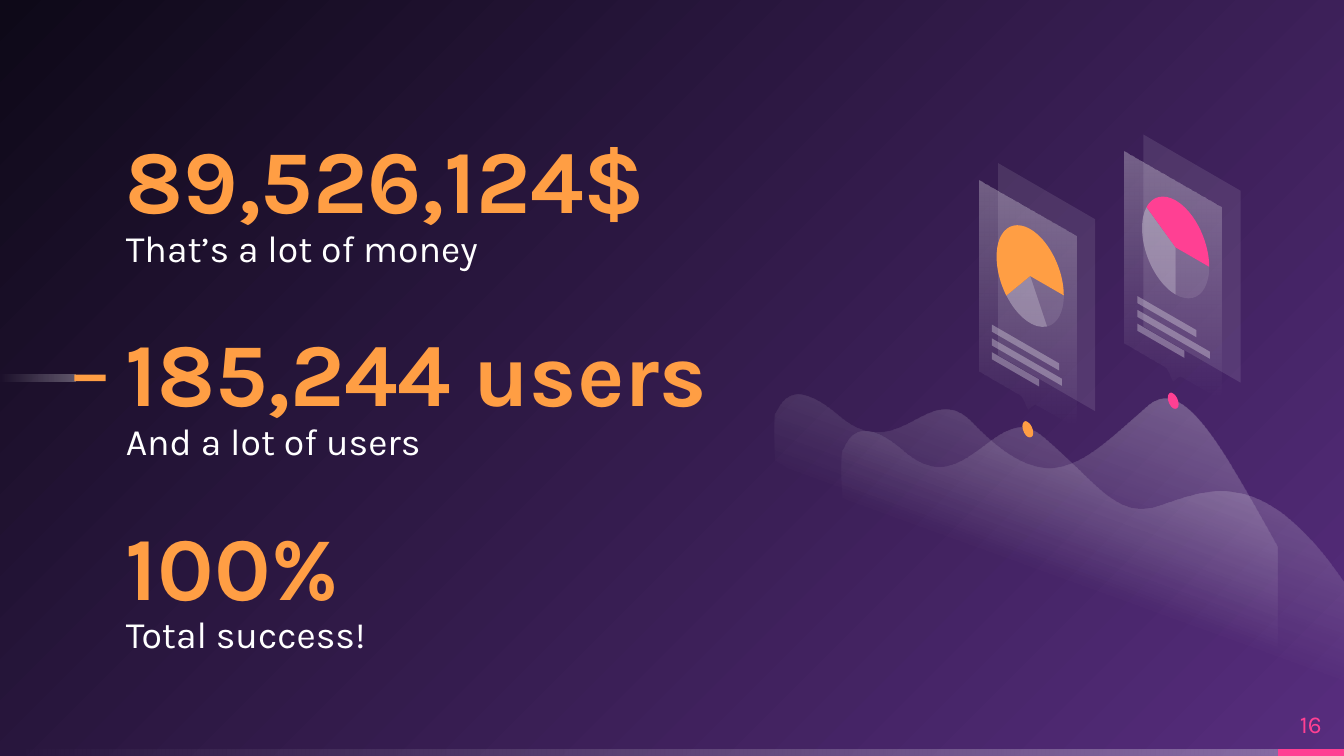
from math import cos, radians, sin, tan

from pptx import Presentation
from pptx.dml.color import RGBColor
from pptx.enum.shapes import MSO_SHAPE as Preset
from pptx.enum.text import MSO_ANCHOR as Anchor, PP_ALIGN as Align
from pptx.oxml.ns import qn
from pptx.oxml.xmlchemy import OxmlElement
from pptx.util import Pt

COLORS = {
    "white": "FFFFFF",
    "orange": "FF9E44",
    "pink": "FF4093",
    "purple": "572D7E",
    "night": "0E0918",
}
FONT = "Karla"
SLOPE = 0.577  # fall of every slanted edge on the cards
FADE = [(0, "white", 30), (100, "white", 0)]
WAVE_FADE = [(0, "white", 30), (47, "white", 0), (100, "white", 0)]

FIGURES = [
    ("89,526,124$", "That’s a lot of money"),
    ("185,244 users", "And a lot of users"),
    ("100%", "Total success!"),
]

# Two numbers are a corner, six are a Bézier curve.
BACK_WAVE = [
    (449.3, 222.5),
    (421.2, 198.7, 417.6, 221, 415.4, 221.8),
    (415.4, 221.8, 414.7, 227.5, 415.4, 247),
    (684.5, 402.5), (684.5, 293),
    (653.8, 238.3, 633.6, 200.2, 614.2, 218.2),
    (579.6, 248.4, 562.3, 269.3, 521.3, 226.8),
    (497.5, 201.6, 482.4, 251.3, 449.3, 222.5),
]
FRONT_WAVE = [
    (484.6, 241.9),
    (456.5, 217.4, 452.9, 240.5, 451.1, 241.2),
    (451.1, 241.2, 450, 246.2, 451.1, 266.4),
    (720, 421.9), (720, 312.5),
    (676.8, 249.1, 648, 261.4, 622.8, 270),
    (598.3, 279.4, 589.7, 260.6, 558.7, 234),
    (533.5, 211.7, 517.7, 270.7, 484.6, 241.9),
]
# Card parts are measured from the top left corner of the front panel.
BACK_PANEL = [(10, -9.2), (62, 20.9), (62, 123.7), (10, 93.7)]
FRONT_PANEL = [(52, 30), (0, 0), (0, 102.2), (22.5, 115.2),
               (26, 122.5), (29.6, 119.6), (52, 132.5)]
DOT = [
    (28.8, 135.4),
    (28.8, 133.2, 27.4, 130.3, 25.9, 129.6),
    (24.5, 128.2, 23, 129.6, 23, 131.8),
    (23, 133.9, 24.5, 136.8, 25.9, 137.5),
    (27.4, 138.2, 28.8, 137.5, 28.8, 135.4),
]


def bounds(path):
    """Left, top, right and bottom of the drawn outline, curves included."""
    points = [path[0]]
    for part in path[1:]:
        if len(part) == 6:
            x0, y0 = points[-1]
            x1, y1, x2, y2, x3, y3 = part
            for step in range(1, 40):
                t = step / 40
                a, b, c, d = (1 - t) ** 3, 3 * t * (1 - t) ** 2, 3 * t * t * (1 - t), t ** 3
                points.append((a * x0 + b * x1 + c * x2 + d * x3,
                               a * y0 + b * y1 + c * y2 + d * y3))
        points.append(part[-2:])
    xs, ys = zip(*points)
    return min(xs), min(ys), max(xs), max(ys)


def pie_slice(start, end):
    """Outline of a slice, in degrees clockwise, slanted like its card."""
    def slant(x, y):
        return 27.2 + 18 * x, 51.3 + 25.2 * y + SLOPE * 18 * x

    count = round((end - start) / 30)
    step = radians(end - start) / count
    reach = 4 / 3 * tan(step / 4)
    angle = radians(start)
    path = [slant(0, 0), slant(cos(angle), sin(angle))]
    for _ in range(count):
        after = angle + step
        path.append(slant(cos(angle) - reach * sin(angle), sin(angle) + reach * cos(angle))
                    + slant(cos(after) + reach * sin(after), sin(after) - reach * cos(after))
                    + slant(cos(after), sin(after)))
        angle = after
    return path


def add_child(parent, tag, **attributes):
    child = OxmlElement(tag)
    for name, value in attributes.items():
        child.set(name, str(value))
    parent.append(child)
    return child


def write_stops(gradient, stops):
    """Empty a gradFill element and give it (position, color, opacity) stops."""
    gradient.clear()
    stop_list = add_child(gradient, "a:gsLst")
    for position, color, opacity in stops:
        stop = add_child(stop_list, "a:gs", pos=position * 1000)
        tint = add_child(stop, "a:srgbClr", val=COLORS[color])
        if opacity < 100:
            add_child(tint, "a:alpha", val=opacity * 1000)


class SlideMaker:
    def __init__(self, slide):
        self.slide = slide
        self.shapes = slide.shapes

    def background(self, stops):
        """Circular gradient that starts at the bottom right corner."""
        self.slide.background.fill.gradient()
        gradient = self.slide.element.find(".//" + qn("a:gradFill"))
        write_stops(gradient, stops)
        circle = add_child(gradient, "a:path", path="circle")
        add_child(circle, "a:fillToRect", l=100000, t=100000)

    def finish(self, shape, color, opacity=100):
        shape.shadow.inherit = False
        shape.line.fill.background()
        shape.fill.solid()
        shape.fill.fore_color.rgb = RGBColor.from_string(COLORS[color])
        if opacity < 100:
            tint = shape.element.spPr.find(".//" + qn("a:srgbClr"))
            add_child(tint, "a:alpha", val=opacity * 1000)
        return shape

    def fade(self, shape, angle, stops=FADE):
        shape.fill.gradient()
        gradient = shape.element.spPr.find(qn("a:gradFill"))
        write_stops(gradient, stops)
        add_child(gradient, "a:lin", ang=angle * 60000, scaled=0)

    def bar(self, left, top, width, height, color):
        shape = self.shapes.add_shape(
            Preset.RECTANGLE, Pt(left), Pt(top), Pt(width), Pt(height))
        return self.finish(shape, color)

    def outline(self, path, color="white", opacity=100, origin=(0, 0)):
        """Freeform whose box fits the path; its drawing steps keep true curves."""
        left, top, right, bottom = bounds(path)
        builder = self.shapes.build_freeform(Pt(left), Pt(top))
        builder.add_line_segments([(Pt(right), Pt(bottom))])
        shape = builder.convert_to_shape(Pt(origin[0]), Pt(origin[1]))
        drawing = shape.element.spPr.find(".//" + qn("a:path"))
        for child in list(drawing):
            drawing.remove(child)
        for index, part in enumerate(path):
            tag = "a:cubicBezTo" if len(part) == 6 else "a:lnTo" if index else "a:moveTo"
            command = add_child(drawing, tag)
            for x, y in zip(part[::2], part[1::2]):
                add_child(command, "a:pt", x=Pt(x) - Pt(left), y=Pt(y) - Pt(top))
        add_child(drawing, "a:close")
        return self.finish(shape, color, opacity)

    def text(self, words, box, size, color, bold=False, anchor=Anchor.TOP,
             align=Align.LEFT, spacing=1, after=0):
        frame = self.shapes.add_textbox(*map(Pt, box)).text_frame
        frame.word_wrap = True
        frame.vertical_anchor = anchor
        frame.margin_left = frame.margin_top = frame.margin_right = frame.margin_bottom = 0
        paragraph = frame.paragraphs[0]
        paragraph.alignment = align
        paragraph.line_spacing = spacing
        paragraph.space_after = Pt(after)
        run = paragraph.add_run()
        run.text = words
        run.font.name, run.font.size, run.font.bold = FONT, Pt(size), bold
        run.font.color.rgb = RGBColor.from_string(COLORS[color])

    def card(self, origin, slices, bar_widths):
        self.outline(BACK_PANEL, opacity=10, origin=origin)
        self.fade(self.outline(FRONT_PANEL, origin=origin), 90)
        for start, end, color, opacity in slices:
            self.outline(pie_slice(start, end), color, opacity, origin)
        for row, width in enumerate(bar_widths):
            left, top, height = 6.7, 77.3 + 7.4 * row, 3.8
            right, drop = left + width, SLOPE * width
            self.outline([(left, top), (right, top + drop),
                          (right, top + drop + height), (left, top + height)],
                         opacity=30, origin=origin)


def main():
    presentation = Presentation()
    presentation.slide_width, presentation.slide_height = Pt(720), Pt(405)
    maker = SlideMaker(presentation.slides.add_slide(presentation.slide_layouts[6]))
    maker.background([(0, "purple", 100), (100, "night", 100)])

    maker.fade(maker.bar(0, 401.3, 686.6, 3.7, "white"), 180)
    maker.bar(684.7, 401.3, 35.3, 3.7, "pink")
    maker.fade(maker.bar(0, 200.7, 40.3, 3.5, "white"), 180)
    maker.bar(39.8, 200.7, 16.8, 3.5, "orange")

    for row, (figure, caption) in enumerate(FIGURES):
        top = 63.7 + 103.5 * row
        maker.text(figure, (67.4, top, 340, 70.5), 48, "orange", bold=True,
                   anchor=Anchor.MIDDLE, spacing=0.9)
        maker.text(caption, (67.4, top + 53.2, 340, 36.7), 20, "white",
                   spacing=1.15, after=8)
    maker.text("16", (684.6, 374, 35.3, 27.4), 13, "pink",
               anchor=Anchor.MIDDLE, align=Align.CENTER)

    for wave in (BACK_WAVE, FRONT_WAVE):
        maker.fade(maker.outline(wave), 110, WAVE_FADE)
    right_card, left_card = (602.6, 81.3), (524.7, 96.6)
    maker.outline(DOT, "pink", origin=right_card)
    maker.outline(DOT, "orange", origin=left_card)
    maker.card(right_card,
               [(0, 90, "white", 10), (90, 210, "white", 30), (210, 360, "pink", 100)],
               (31.7, 38.9, 25.2))
    maker.card(left_card,
               [(0, 60, "white", 10), (60, 135, "white", 30), (135, 360, "orange", 100)],
               (36, 37.4, 25.2))
    presentation.save("out.pptx")


if __name__ == "__main__":
    main()
